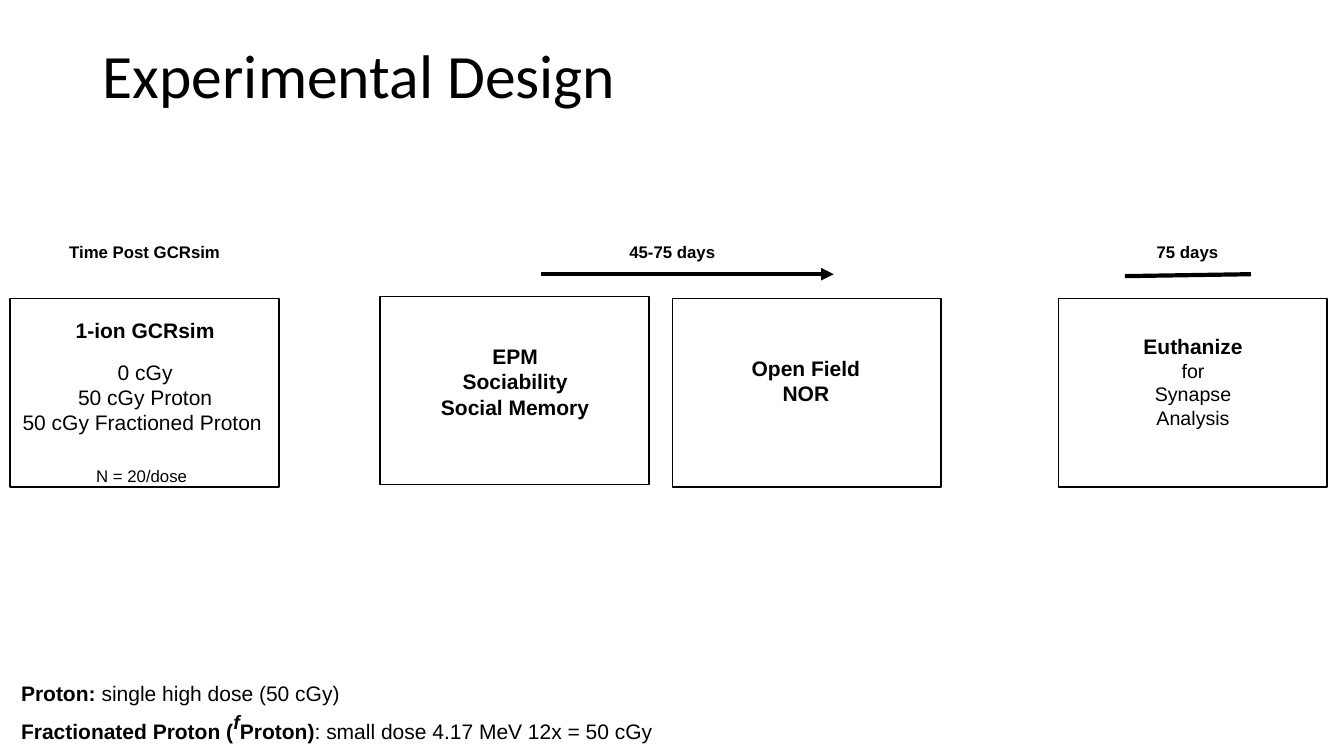
from dataclasses import dataclass

from lxml.etree import SubElement
from pptx import Presentation
from pptx.dml.color import RGBColor
from pptx.enum.shapes import MSO_CONNECTOR, MSO_SHAPE
from pptx.enum.text import MSO_ANCHOR, MSO_AUTO_SIZE, PP_ALIGN
from pptx.oxml.ns import qn
from pptx.slide import Slide
from pptx.util import Inches, Length, Pt

SLIDE_WIDTH = Inches(13.33)
SLIDE_HEIGHT = Inches(7.5)
BLACK = "000000"
STAGE_WIDTH, STAGE_HEIGHT = 20, 24.93
LABEL_TOP, LABEL_HEIGHT = 31.33, 4


@dataclass(frozen=True)
class Area:
    left: float
    top: float
    width: float
    height: float

    def lengths(self) -> tuple[Length, Length, Length, Length]:
        return across(self.left), down(self.top), across(self.width), down(self.height)


@dataclass(frozen=True)
class Span:
    text: str
    size: float = 15
    bold: bool = False
    italic: bool = False
    baseline: int = 0


@dataclass(frozen=True)
class Line:
    spans: tuple[Span, ...]
    space_after: float = 0


@dataclass(frozen=True)
class Note:
    area: Area
    lines: tuple[Line, ...]
    wrap: bool = True
    alignment: PP_ALIGN = PP_ALIGN.CENTER


@dataclass(frozen=True)
class TimeMark:
    start: tuple[float, float]
    end: tuple[float, float]
    arrow: bool = False


def across(percent: float) -> Length:
    return Length(round(SLIDE_WIDTH * percent / 100))


def down(percent: float) -> Length:
    return Length(round(SLIDE_HEIGHT * percent / 100))


def colour(code: str) -> RGBColor:
    return RGBColor.from_string(code)


def line(text: str, size: float = 15, bold: bool = False, space_after: float = 0) -> Line:
    return Line((Span(text, size, bold),), space_after)


def time_label(left: float, width: float, text: str) -> Note:
    return Note(Area(left, LABEL_TOP, width, LABEL_HEIGHT), (line(text, 12, True),))


STAGES = [(0.75, 39.47), (28.28, 39.2), (50.02, 39.47), (78.75, 39.47)]

NOTES = [
    Note(
        Area(0.45, 41.33, 20.7, 17.2),
        (
            line("1-ion GCRsim", bold=True, space_after=12),
            line("0 cGy"),
            line("50 cGy Proton"),
            line("50 cGy Fractioned Proton "),
        ),
        wrap=False,
    ),
    Note(Area(6.38, 60.93, 8.33, 4), (line("N = 20/dose", 12),), wrap=False),
    Note(
        Area(31.95, 44.8, 12.75, 11.47),
        tuple(line(test, bold=True) for test in ("EPM", "Sociability", "Social Memory")),
    ),
    Note(
        Area(54.9, 46.4, 10.13, 8.13),
        tuple(line(test, bold=True) for test in ("Open Field", "NOR")),
    ),
    Note(
        Area(83.18, 43.47, 11.18, 14.13),
        (line("Euthanize", bold=True),)
        + tuple(line(word, 14) for word in ("for", "Synapse", "Analysis")),
    ),
    time_label(3.15, 15.23, "Time Post GCRsim"),
    time_label(44.85, 10.35, "45-75 days"),
    time_label(83.18, 10.35, "75 days"),
    Note(
        Area(0.83, 89.33, 48.98, 8.27),
        (
            Line((Span("Proton: ", bold=True), Span("single high dose (50 cGy)"))),
            Line(
                (
                    Span("Fractionated Proton (", bold=True),
                    Span("f", 24, True, True, 30),
                    Span("Proton)", bold=True),
                    Span(": small dose 4.17 MeV 12x = 50 cGy"),
                )
            ),
        ),
        wrap=False,
        alignment=PP_ALIGN.LEFT,
    ),
]

TIME_MARKS = [
    TimeMark((40.28, 36.27), (62.03, 36.27), arrow=True),
    TimeMark((83.7, 36.53), (93.08, 36.27)),
]


def add_title(slide: Slide, text: str) -> None:
    title = slide.shapes.title
    title.left, title.top, title.width, title.height = Area(6.9, 5.33, 86.25, 19.33).lengths()
    frame = title.text_frame
    frame.text = text
    frame.auto_size = MSO_AUTO_SIZE.NONE
    frame.vertical_anchor = MSO_ANCHOR.TOP
    para = frame.paragraphs[0]
    para.alignment = PP_ALIGN.LEFT
    para.line_spacing = 0.9
    font = para.runs[0].font
    font.name, font.size = "Calibri", Pt(44)
    font.color.rgb = colour(BLACK)


def add_stage(slide: Slide, left: float, top: float) -> None:
    area = Area(left, top, STAGE_WIDTH, STAGE_HEIGHT)
    box = slide.shapes.add_shape(MSO_SHAPE.RECTANGLE, *area.lengths())
    box.shadow.inherit = False
    box.fill.background()
    box.line.color.rgb = colour(BLACK)
    box.line.width = Pt(1)


def add_note(slide: Slide, note: Note) -> None:
    frame = slide.shapes.add_textbox(*note.area.lengths()).text_frame
    frame.word_wrap = note.wrap
    frame.auto_size = MSO_AUTO_SIZE.SHAPE_TO_FIT_TEXT
    frame.text = "\n".join(row.spans[0].text for row in note.lines)
    for para, row in zip(frame.paragraphs, note.lines):
        para.alignment = note.alignment
        para.space_after = Pt(row.space_after)
        for extra in row.spans[1:]:
            para.add_run().text = extra.text
        for run, span in zip(para.runs, row.spans):
            font = run.font
            font.name, font.size = "Arial", Pt(span.size)
            font.bold, font.italic = span.bold, span.italic
            font.color.rgb = colour(BLACK)
            if span.baseline:
                run._r.get_or_add_rPr().set("baseline", str(span.baseline * 1000))


def add_time_mark(slide: Slide, mark: TimeMark) -> None:
    connector = slide.shapes.add_connector(
        MSO_CONNECTOR.STRAIGHT,
        across(mark.start[0]),
        down(mark.start[1]),
        across(mark.end[0]),
        down(mark.end[1]),
    )
    connector.line.color.rgb = colour(BLACK)
    connector.line.width = Pt(3)
    if mark.arrow:
        SubElement(connector.line._get_or_add_ln(), qn("a:tailEnd"), type="triangle")
    SubElement(connector._element.spPr, qn("a:effectLst"))


def main() -> None:
    deck = Presentation()
    deck.slide_width, deck.slide_height = SLIDE_WIDTH, SLIDE_HEIGHT
    page = deck.slides.add_slide(deck.slide_layouts[5])
    add_title(page, "Experimental Design")
    for left, top in STAGES:
        add_stage(page, left, top)
    for note in NOTES:
        add_note(page, note)
    for mark in TIME_MARKS:
        add_time_mark(page, mark)
    deck.save("out.pptx")


if __name__ == "__main__":
    main()
